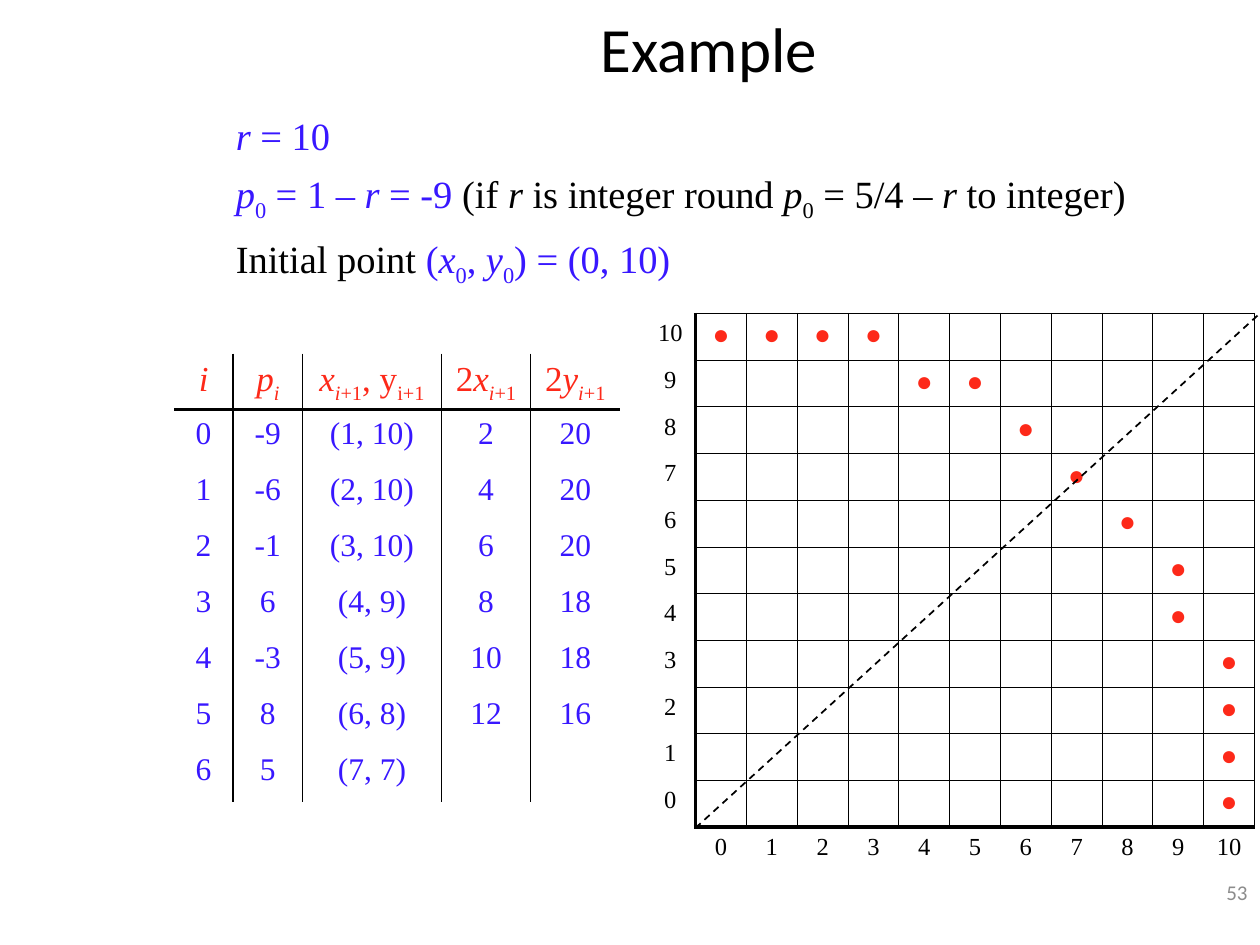
from dataclasses import dataclass
from typing import Callable

from lxml.etree import SubElement
from pptx import Presentation
from pptx.dml.color import RGBColor
from pptx.enum.dml import MSO_LINE
from pptx.enum.shapes import MSO_CONNECTOR
from pptx.enum.text import MSO_ANCHOR, MSO_AUTO_SIZE, PP_ALIGN
from pptx.oxml.ns import qn
from pptx.util import Cm, Pt

BLACK, RED, BLUE, GRAY = "000000", "FD2919", "3817FF", "8C8C8C"
SERIF, SANS = "Times New Roman", "Calibri"
LAST = 10


@dataclass(frozen=True)
class Run:
    """A piece of text with its own marks."""
    text: str
    italic: bool = False
    subscript: bool = False
    color: str = BLACK


@dataclass(frozen=True)
class Grid:
    """A table with rules giving the width of each vertical and horizontal edge."""
    left: float
    top: float
    columns: list[float]
    row_height: float
    rows: list[list[list[Run]]]
    vertical: Callable[[int, int], float]
    horizontal: Callable[[int, int], float]
    size: Callable[[int, str], int]


def rgb(color: str) -> RGBColor:
    """Turn a hex string into a colour."""
    return RGBColor.from_string(color)


def apply(target, values: dict) -> None:
    """Set attributes from a dict of format values."""
    for name, value in values.items():
        setattr(target, name, value)


def place(shape, left: float, top: float, width: float, height: float) -> None:
    """Move and size a shape, in centimetres."""
    apply(shape, {"left": Cm(left), "top": Cm(top), "width": Cm(width), "height": Cm(height)})


def write(paragraph, runs: list[Run], size: float, font: str, alignment) -> None:
    """Fill a paragraph with formatted runs."""
    paragraph.alignment = alignment
    for item in runs:
        run = paragraph.add_run()
        run.text = item.text
        apply(run.font, {"name": font, "size": Pt(size), "italic": item.italic, "bold": False})
        run.font.color.rgb = rgb(item.color)
        if item.subscript:
            run.font._element.set("baseline", "-25000")


def set_borders(cell, widths: dict[str, float]) -> None:
    """Draw the cell's edges, leaving out those of zero width."""
    properties = cell._tc.get_or_add_tcPr()
    for side, width in widths.items():
        line = SubElement(properties, qn(f"a:ln{side}"), w=str(Pt(width)))
        if width:
            fill = SubElement(line, qn("a:solidFill"))
            SubElement(fill, qn("a:srgbClr"), val=BLACK)
        else:
            SubElement(line, qn("a:noFill"))


def draw_grid(slide, grid: Grid) -> None:
    """Add a table with its text and borders."""
    frame = slide.shapes.add_table(
        len(grid.rows), len(grid.columns), Cm(grid.left), Cm(grid.top),
        Cm(sum(grid.columns)), Cm(grid.row_height * len(grid.rows)))
    table = frame.table
    apply(table, {"first_row": False, "horz_banding": False})
    for column, width in zip(table.columns, grid.columns):
        column.width = Cm(width)
    for row, contents in enumerate(grid.rows):
        table.rows[row].height = Cm(grid.row_height)
        for column, runs in enumerate(contents):
            cell = table.cell(row, column)
            apply(cell, {"margin_left": 0, "margin_right": 0, "margin_top": Cm(0.13),
                         "margin_bottom": 0, "vertical_anchor": MSO_ANCHOR.TOP})
            set_borders(cell, {
                "L": grid.vertical(row, column), "R": grid.vertical(row, column + 1),
                "T": grid.horizontal(row, column), "B": grid.horizontal(row + 1, column)})
            cell.fill.background()
            if runs:
                write(cell.text_frame.paragraphs[0], runs,
                      grid.size(row, runs[0].text), SERIF, PP_ALIGN.CENTER)


def circle_grid() -> Grid:
    """Describe the raster of the first quadrant, with its axis labels."""
    octant = {(0, 10), (1, 10), (2, 10), (3, 10), (4, 9), (5, 9), (6, 8), (7, 7)}
    points = octant | {(y, x) for x, y in octant}
    rows = [[[Run(str(y))]] + [[Run("●", color=RED)] if (x, y) in points else []
                               for x in range(LAST + 1)]
            for y in range(LAST, -1, -1)]
    rows.append([[]] + [[Run(str(x))] for x in range(LAST + 1)])

    def vertical(row: int, edge: int) -> float:
        """Give the width of a vertical edge."""
        return 0 if row > LAST else {0: 0, 1: 2.25, LAST + 2: 1}.get(edge, 0.5)

    def horizontal(edge: int, column: int) -> float:
        """Give the width of a horizontal edge."""
        return 0 if column == 0 else {0: 1, LAST + 1: 2.25, LAST + 2: 0}.get(edge, 0.5)

    return Grid(13, 6.32, [12.29 / 12] * 12, 11.3 / 12, rows, vertical, horizontal,
                lambda row, text: 16 if text == "●" else 14)


def step_grid() -> Grid:
    """Describe the table of the algorithm's steps."""
    index, plus_one = Run("i", True, True, RED), Run("+1", False, True, RED)
    two = Run("2", color=RED)
    x, y, p = (Run(name, True, color=RED) for name in "xyp")
    header = [[Run("i", True, color=RED)], [p, index],
              [x, index, plus_one, Run(", y", color=RED), Run("i+1", False, True, RED)],
              [two, x, index, plus_one], [two, y, index, plus_one]]
    steps = [("0", "-9", "(1, 10)", "2", "20"), ("1", "-6", "(2, 10)", "4", "20"),
             ("2", "-1", "(3, 10)", "6", "20"), ("3", "6", "(4, 9)", "8", "18"),
             ("4", "-3", "(5, 9)", "10", "18"), ("5", "8", "(6, 8)", "12", "16"),
             ("6", "5", "(7, 7)", "", "")]
    rows = [header] + [[[Run(text, color=BLUE)] if text else [] for text in step]
                       for step in steps]
    return Grid(3.51, 7.13, [1.19, 1.4, 2.8, 1.8, 1.8], 1.13, rows,
                lambda row, edge: 1 if 0 < edge < 5 else 0,
                lambda edge, column: 2.25 if edge == 1 else 0,
                lambda row, text: 18 if row else 20)


def fill_body(body) -> None:
    """Write the starting values into the body placeholder."""
    place(body, 4.5, 2.13, 19.76, 3.61)
    frame = body.text_frame
    apply(frame, {"word_wrap": True, "auto_size": MSO_AUTO_SIZE.NONE,
                  "vertical_anchor": MSO_ANCHOR.TOP})
    zero, black_zero = Run("0", False, True, BLUE), Run("0", False, True)
    lines = [
        [Run("r ", True, color=BLUE), Run("= 10", color=BLUE)],
        [Run("p", True, color=BLUE), zero, Run(" = 1 – ", color=BLUE),
         Run("r ", True, color=BLUE), Run("= -9", color=BLUE), Run(" (if "), Run("r", True),
         Run(" is integer round "), Run("p", True), black_zero, Run(" = 5/4 – "),
         Run("r", True), Run(" to integer)")],
        [Run("Initial point "), Run("(", color=BLUE), Run("x", True, color=BLUE), zero,
         Run(", ", color=BLUE), Run("y", True, color=BLUE), zero,
         Run(") = (0, 10)", color=BLUE)],
    ]
    for number, runs in enumerate(lines):
        paragraph = frame.add_paragraph() if number else frame.paragraphs[0]
        properties = paragraph._p.get_or_add_pPr()
        apply(paragraph, {"space_before": Pt(7 if number else 0)})
        SubElement(properties, qn("a:buNone"))
        for name in ("marL", "indent"):
            properties.set(name, "0")
        write(paragraph, runs, 22, SERIF, PP_ALIGN.LEFT)


def draw_diagonal(slide) -> None:
    """Add the dashed line of symmetry."""
    line = slide.shapes.add_connector(
        MSO_CONNECTOR.STRAIGHT, Cm(14.02), Cm(16.69), Cm(25.45), Cm(6.27))
    apply(line.line, {"width": Pt(1), "dash_style": MSO_LINE.DASH})
    line.line.color.rgb = rgb(BLACK)
    SubElement(line._element.spPr, qn("a:effectLst"))


def main() -> None:
    """Build and save the slide."""
    presentation = Presentation()
    apply(presentation, {"slide_width": Cm(25.4), "slide_height": Cm(19.05)})
    slide = presentation.slides.add_slide(presentation.slide_layouts[1])
    title, body = slide.placeholders
    place(title, 3.81, 0.13, 20.96, 1.65)
    title.text_frame.vertical_anchor = MSO_ANCHOR.MIDDLE
    write(title.text_frame.paragraphs[0], [Run("Example")], 36, SANS, PP_ALIGN.CENTER)
    fill_body(body)
    draw_grid(slide, circle_grid())
    draw_grid(slide, step_grid())
    draw_diagonal(slide)
    number = slide.shapes.add_textbox(Cm(20.12), Cm(17.35), Cm(5.28), Cm(1.27))
    apply(number.text_frame, {"word_wrap": True, "vertical_anchor": MSO_ANCHOR.MIDDLE})
    write(number.text_frame.paragraphs[0], [Run("53", color=GRAY)], 12, SANS, PP_ALIGN.RIGHT)
    presentation.save("out.pptx")


if __name__ == "__main__":
    main()
